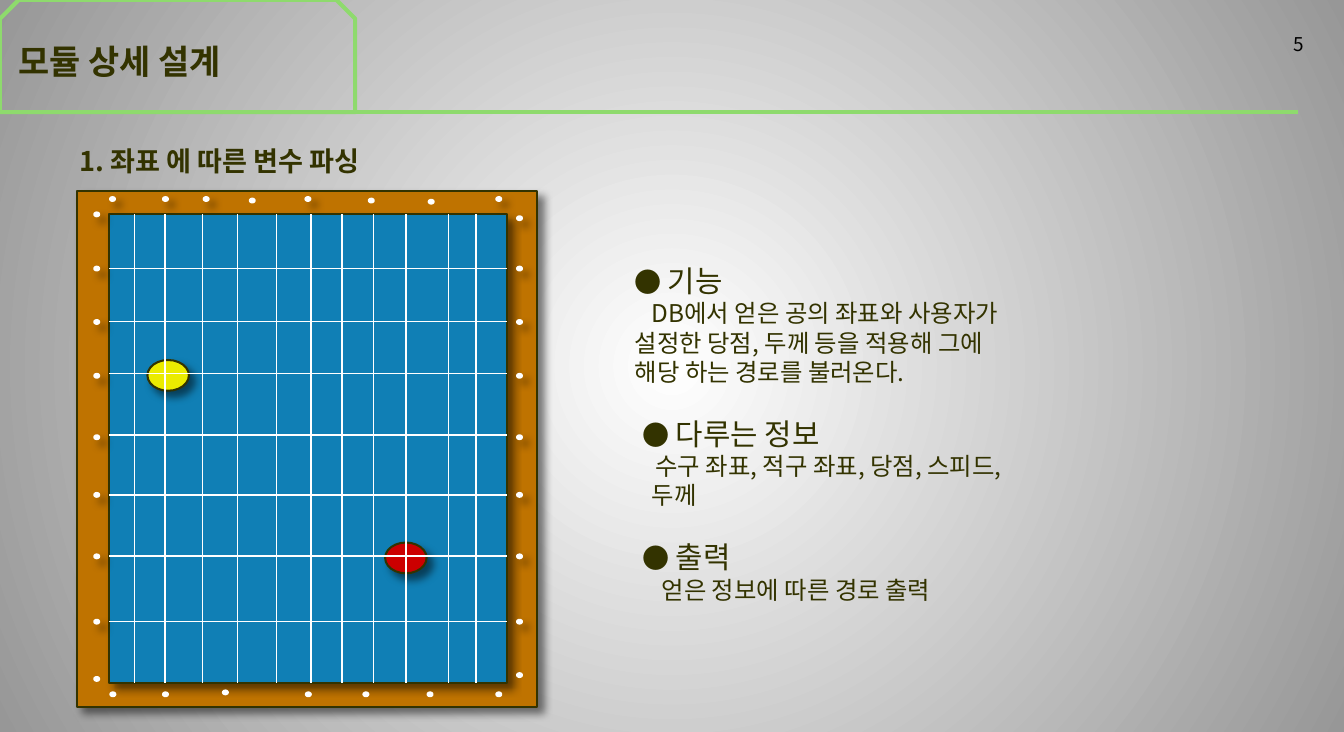
from lxml.etree import SubElement
from pptx import Presentation
from pptx.dml.color import RGBColor
from pptx.enum.shapes import MSO_CONNECTOR, MSO_SHAPE
from pptx.enum.text import MSO_ANCHOR, PP_ALIGN
from pptx.oxml.ns import qn
from pptx.util import Cm, Pt

FONT = "Noto Sans CJK KR"
INK, GREEN, WHITE = "333300", "8EDA6D", "FFFFFF"


def color(value):
    return RGBColor.from_string(value)


def add_span(para, words, size, ink=INK, bold=False):
    span = para.add_run()
    span.text = words
    span.font.size = Pt(size)
    span.font.bold = bold
    span.font.color.rgb = color(ink)
    span.font.name = FONT
    SubElement(span.font._element, qn("a:ea"), typeface=FONT)


def add_text_box(page, left, top, width, height):
    """Return the text frame of a new wrapping text box."""
    box = page.shapes.add_textbox(Cm(left), Cm(top), Cm(width), Cm(height))
    box.text_frame.word_wrap = True
    return box.text_frame


def add_line(page, x1, y1, x2, y2, ink, width):
    line = page.shapes.add_connector(
        MSO_CONNECTOR.STRAIGHT, Cm(x1), Cm(y1), Cm(x2), Cm(y2))
    line.line.color.rgb = color(ink)
    line.line.width = Pt(width)
    SubElement(line._element.spPr, qn("a:effectLst"))


def add_figure(page, kind, left, top, width, height, fill, outline=INK, shadow=True):
    figure = page.shapes.add_shape(kind, Cm(left), Cm(top), Cm(width), Cm(height))
    figure.fill.solid()
    figure.fill.fore_color.rgb = color(fill)
    figure.line.color.rgb = color(outline)
    figure.line.width = Pt(1.5)
    figure.shadow.inherit = False
    if shadow:
        effects = figure._element.spPr.find(qn("a:effectLst"))
        outer = SubElement(effects, qn("a:outerShdw"), blurRad=str(Pt(6)),
                           dist=str(Pt(6)), dir=str(45 * 60000))
        black = SubElement(outer, qn("a:srgbClr"), val="000000")
        SubElement(black, qn("a:alpha"), val="50000")


def paint_background(page):
    """Fill the page with a gradient from a white centre to grey corners."""
    fill = page.background.fill
    fill.gradient()
    for stop, position, shade in zip(fill.gradient_stops, (0, 1), (WHITE, "979797")):
        stop.position = position
        stop.color.rgb = color(shade)
    gradient = page.element.find(".//" + qn("a:gradFill"))
    gradient.remove(gradient.find(qn("a:lin")))
    circle = SubElement(gradient, qn("a:path"), path="circle")
    SubElement(circle, qn("a:fillToRect"), l="50000", t="50000", r="50000", b="50000")


def add_header(page, left, top, width, height):
    tab = page.shapes.add_shape(
        MSO_SHAPE.SNIP_2_SAME_RECTANGLE, Cm(left), Cm(top), Cm(9.25), Cm(height))
    tab.adjustments[0], tab.adjustments[1] = 0.167, 0
    tab.fill.background()
    tab.line.color.rgb = color(GREEN)
    tab.line.width = Pt(3)
    tab.shadow.inherit = False
    tab.text_frame.vertical_anchor = MSO_ANCHOR.MIDDLE
    para = tab.text_frame.paragraphs[0]
    para.alignment = PP_ALIGN.LEFT
    add_span(para, "모듈 상세 설계", 25, bold=True)
    add_line(page, left, top + height, left + width, top + height, GREEN, 3)

    para = add_text_box(page, left + 26.06, top + 0.71, 8.15, 0.69).paragraphs[0]
    para.alignment = PP_ALIGN.RIGHT
    add_span(para, "5", 14, "000000")


def add_section_title(page, left, top, width, height):
    para = add_text_box(page, left, top, width, height).paragraphs[0]
    add_span(para, "1. 좌표 에 따른 변수 파싱", 20, bold=True)


def add_billiard_table(page, left, top, width, height):
    cloth_x, cloth_y, cloth_width, cloth_height = 0.84, 0.6, 10.36, 12.19
    add_figure(page, MSO_SHAPE.RECTANGLE, left, top, width, height, "BF7300")
    add_figure(page, MSO_SHAPE.RECTANGLE, left + cloth_x, top + cloth_y,
               cloth_width, cloth_height, "107FB5")

    rail_rows = [2.01, 3.4, 4.8, 6.4, 7.9, 9.5, 11.2]
    lit_marks = [(0.52, y) for y in [0.6] + rail_rows]
    lit_marks += [(11.53, y) for y in [0.7] + rail_rows]
    lit_marks += [(x, 0.2) for x in (0.93, 2.31, 3.37, 6.02, 10.99)]
    flat_marks = [(4.57, 0.24), (7.67, 0.24), (9.23, 0.27), (3.87, 13.04),
                  (0.52, 12.69), (11.53, 12.59)]
    flat_marks += [(x, 13.09) for x in (0.94, 2.31, 6.03, 7.53, 9.2, 10.99)]
    mark_width, mark_height = 0.13, 0.1
    for marks, shadow in ((lit_marks, True), (flat_marks, False)):
        for x, y in marks:
            add_figure(page, MSO_SHAPE.OVAL, left + x - mark_width / 2,
                       top + y - mark_height / 2, mark_width, mark_height,
                       WHITE, WHITE, shadow)

    for x, y, fill in ((8.03, 9.14, "CC0000"), (1.84, 4.39, "EBEB00")):
        add_figure(page, MSO_SHAPE.OVAL, left + x, top + y, 1.08, 0.8, fill)

    for y in (2, 3.39, 4.74, 6.34, 7.9, 9.49, 11.19):
        add_line(page, left + cloth_x, top + y,
                 left + cloth_x + cloth_width, top + y, WHITE, 1)
    for x in (1.5, 2.3, 3.28, 4.19, 5.2, 6.1, 6.91, 7.73, 8.57, 9.68, 10.4):
        add_line(page, left + x, top + cloth_y,
                 left + x, top + cloth_y + cloth_height, WHITE, 1)


def add_description(page, left, top, width, height):
    # heading, heading indent, body, body margins left and right, first-line indent
    topics = [
        ("기능", 0, "DB에서 얻은 공의 좌표와 사용자가 설정한 당점, 두께 등을 적용해 "
         "그에 해당 하는 경로를 불러온다.", 0, 0.4, 0.44),
        ("다루는 정보", 0.21, "수구 좌표, 적구 좌표, 당점, 스피드, 두께", 0.44, 0, 0.1),
        ("출력", 0.21, "얻은 정보에 따른 경로 출력", 0, 0, 0.7),
    ]
    frame = add_text_box(page, left, top, width, height)
    for number, topic in enumerate(topics):
        heading, heading_indent, body, margin_left, margin_right, indent = topic
        para = frame.add_paragraph() if number else frame.paragraphs[0]
        para.space_before = Pt(21.6 if number else 0)
        para._p.get_or_add_pPr().set("indent", str(Cm(heading_indent)))
        add_span(para, "● ", 20)
        add_span(para, heading, 22)

        para = frame.add_paragraph()
        properties = para._p.get_or_add_pPr()
        properties.set("marL", str(Cm(margin_left)))
        properties.set("marR", str(Cm(margin_right)))
        properties.set("indent", str(Cm(indent)))
        add_span(para, body, 18)


def main():
    deck = Presentation()
    deck.slide_width, deck.slide_height = Cm(35), Cm(19.05)
    page = deck.slides.add_slide(deck.slide_layouts[6])
    paint_background(page)
    add_header(page, 0, 0, 33.81, 2.92)
    add_section_title(page, 1.82, 3.64, 30.86, 1.07)
    add_billiard_table(page, 2, 4.98, 11.99, 13.41)
    add_description(page, 16.28, 6.71, 11.2, 9.14)
    deck.save("out.pptx")


if __name__ == "__main__":
    main()
